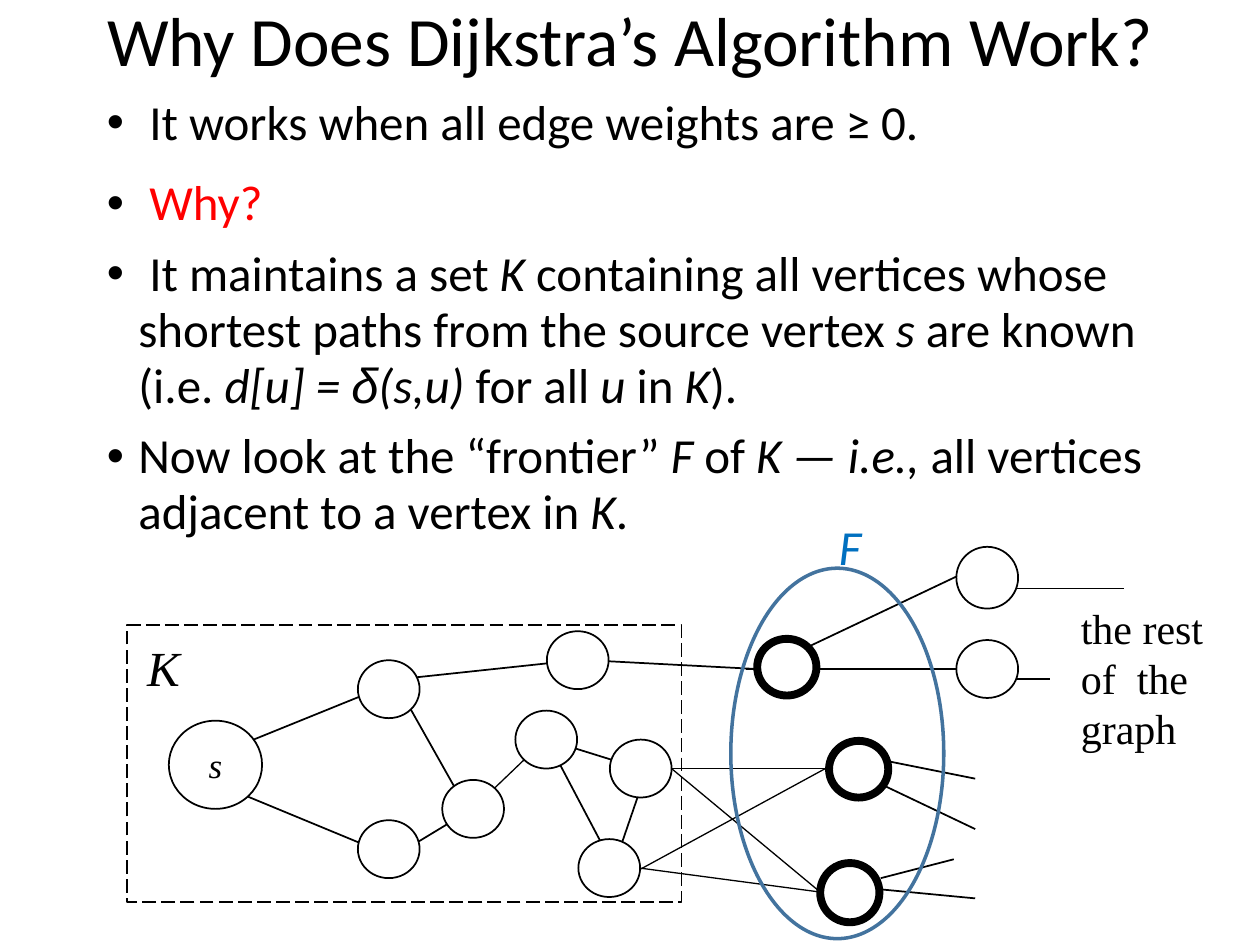
from dataclasses import dataclass
from typing import NamedTuple, Optional

from lxml import etree
from pptx import Presentation
from pptx import util as u
from pptx.dml.color import RGBColor
from pptx.enum import dml, shapes, text
from pptx.oxml import ns


@dataclass(frozen=True)
class Theme:
    black: str = "000000"
    white: str = "FFFFFF"
    red: str = "FF0000"
    label_blue: str = "0070C0"
    outline_blue: str = "43739E"
    sans: str = "Calibri"
    serif: str = "Times New Roman"
    symbol: str = "Arial"
    title: float = 39.6
    body: float = 28
    note: float = 24
    vertex: float = 20


THEME = Theme()


class Span(NamedTuple):
    text: str
    italic: bool = False
    color: str = THEME.black
    font: str = THEME.sans


class Bullet(NamedTuple):
    space_before: float
    lines: list[list[Span]]


class Box(NamedTuple):
    left: float
    top: float
    width: float
    height: float

    def lengths(self) -> list[u.Length]:
        return [u.Inches(value) for value in self]


class Edge(NamedTuple):
    x1: float
    y1: float
    x2: float
    y2: float
    weight: float = 1


class Vertex(NamedTuple):
    box: Box
    weight: float = 1
    label: str = ""


def it(words: str) -> Span:
    return Span(words, italic=True)


def add_span(para, span: Span, size: float) -> None:
    run = para.add_run()
    run.text = span.text
    run.font.size = u.Pt(size)
    run.font.name = span.font
    run.font.italic = span.italic
    run.font.color.rgb = RGBColor.from_string(span.color)


def add_outline(page, kind, box: Box, color: str, weight: float, fill: str = ""):
    shape = page.shapes.add_shape(kind, *box.lengths())
    shape.shadow.inherit = False
    if fill:
        shape.fill.solid()
        shape.fill.fore_color.rgb = RGBColor.from_string(fill)
    else:
        shape.fill.background()
    shape.line.color.rgb = RGBColor.from_string(color)
    shape.line.width = u.Pt(weight)
    return shape


def add_edge(page, edge: Edge) -> None:
    ends = [u.Inches(value) for value in edge[:4]]
    line = page.shapes.add_connector(shapes.MSO_CONNECTOR.STRAIGHT, *ends)
    line.line.color.rgb = RGBColor.from_string(THEME.black)
    line.line.width = u.Pt(edge.weight)
    properties = line._element.spPr
    etree.SubElement(properties, ns.qn("a:effectLst"))


def add_vertex(page, vertex: Vertex) -> None:
    oval = add_outline(page, shapes.MSO_SHAPE.OVAL, vertex.box, THEME.black,
                       vertex.weight, THEME.white)
    if vertex.label:
        frame = oval.text_frame
        frame.word_wrap = False
        frame.vertical_anchor = text.MSO_ANCHOR.MIDDLE
        para = frame.paragraphs[0]
        para.alignment = text.PP_ALIGN.CENTER
        add_span(para, Span(vertex.label, True, font=THEME.serif), THEME.vertex)


def add_label(page, box: Box, spans: list[Span], size: float) -> None:
    frame = page.shapes.add_textbox(*box.lengths()).text_frame
    frame.word_wrap = False
    frame.auto_size = text.MSO_AUTO_SIZE.SHAPE_TO_FIT_TEXT
    for index, span in enumerate(spans):
        para = frame.add_paragraph() if index else frame.paragraphs[0]
        add_span(para, span, size)


def add_bullets(page, box: Box, bullets: list[Bullet]) -> None:
    frame = page.shapes.add_textbox(*box.lengths()).text_frame
    frame.word_wrap = True
    for index, bullet in enumerate(bullets):
        para = frame.add_paragraph() if index else frame.paragraphs[0]
        para.line_spacing = 0.95
        para.space_before = u.Pt(THEME.body * bullet.space_before)
        properties = para._p.get_or_add_pPr()
        properties.set("marL", str(u.Inches(0.25)))
        properties.set("indent", str(u.Inches(-0.25)))
        etree.SubElement(properties, ns.qn("a:buFont"), typeface=THEME.symbol)
        etree.SubElement(properties, ns.qn("a:buChar"), char="•")
        for number, line in enumerate(bullet.lines):
            if number:
                para.add_line_break()
            for span in line:
                add_span(para, span, THEME.body)


BULLETS = [
    Bullet(0.5, [[Span(" It works when all edge weights are ≥ 0.")]]),
    Bullet(0.5, [[Span(" "), Span("Why?", color=THEME.red)]]),
    Bullet(0.3, [
        [Span(" It maintains a set "), it("K"),
         Span(" containing all vertices whose shortest paths from the source vertex "),
         it("s"), Span(" are known ")],
        [Span("(i.e. "), it("d[u] = "), Span("δ", True, font=THEME.symbol), it("(s,u)"),
         Span(" for all "), it("u"), Span(" in "), it("K"), Span(").")]]),
    Bullet(0.3, [[Span("Now look at the “frontier” "), it("F"), Span(" of "), it("K — i.e., "),
                  Span("all vertices adjacent to a vertex in "), it("K"), Span(".")]]),
]

EDGES = [
    # Inside K
    Edge(1.84, 5.94, 3, 5.47), Edge(1.84, 6.27, 3.17, 6.82), Edge(3.17, 5.39, 4.67, 5.23),
    Edge(3.17, 5.47, 3.75, 6.5), Edge(3.09, 6.82, 3.75, 6.42), Edge(4.34, 5.87, 5.08, 6.1),
    Edge(4.34, 5.87, 4.92, 6.97), Edge(5.08, 6.27, 4.84, 6.97),
    Edge(3.92, 6.26, 4.16, 6.03, 0.75),
    # From K to the frontier
    Edge(4.67, 5.24, 6.01, 5.31), Edge(5.33, 6.1, 6.55, 6.1, 0.75),
    Edge(5.33, 6.1, 6.51, 7.08, 0.75), Edge(5.08, 6.9, 6.55, 6.1, 0.75),
    Edge(5.08, 6.89, 6.51, 7.08, 0.75),
    # From the frontier to the rest
    Edge(6, 5.33, 7.75, 4.5), Edge(5.92, 5.31, 7.83, 5.31), Edge(6.99, 6.03, 7.74, 6.18),
    Edge(6.9, 6.18, 7.74, 6.58), Edge(6.99, 6.97, 7.57, 6.82), Edge(6.9, 7.05, 7.74, 7.13),
    Edge(8, 4.67, 8.92, 4.67), Edge(7.92, 5.39, 8.33, 5.39),
]

PLAIN = [(2.84, 5.24), (4.34, 5.01), (4.09, 5.64), (2.84, 6.51), (3.51, 6.19),
         (4.84, 5.87), (4.59, 6.66), (7.59, 5.08)]
FRONTIER = [(6.01, 5.07, 0.45), (6.58, 5.88, 0.45), (6.51, 6.85, 0.47)]
VERTICES = [
    Vertex(Box(1.34, 5.72, 0.74, 0.7), label="s"),
    Vertex(Box(7.59, 4.34, 0.49, 0.49)),
    *(Vertex(Box(left, top, 0.49, 0.46)) for left, top in PLAIN),
    *(Vertex(Box(left, top, 0.47, height), 4.5) for left, top, height in FRONTIER),
]

deck = Presentation()
deck.slide_width, deck.slide_height = u.Inches(10), u.Inches(7.5)
page = deck.slides.add_slide(deck.slide_layouts[5])

# Title
title = page.shapes.title
title.left, title.top, title.width, title.height = Box(0.75, 0, 9.25, 1.01).lengths()
title.text_frame.vertical_anchor = text.MSO_ANCHOR.TOP
title.text_frame.auto_size = text.MSO_AUTO_SIZE.NONE
heading = title.text_frame.paragraphs[0]
heading.alignment = text.PP_ALIGN.LEFT
heading.line_spacing = 0.9
add_span(heading, Span("Why Does Dijkstra’s Algorithm Work?"), THEME.title)

# Argument
add_bullets(page, Box(0.75, 0.71, 8.5, 4.17), BULLETS)

# Graph: known set, edges, vertices, frontier
known = add_outline(page, shapes.MSO_SHAPE.RECTANGLE, Box(1.01, 4.96, 4.4, 2.2), THEME.black, 1)
known.line.dash_style = dml.MSO_LINE.LONG_DASH
for edge in EDGES:
    add_edge(page, edge)
for vertex in VERTICES:
    add_vertex(page, vertex)
add_outline(page, shapes.MSO_SHAPE.OVAL, Box(5.8, 4.51, 1.69, 2.94), THEME.outline_blue, 2)

# Labels
add_label(page, Box(1.07, 5.01, 0.46, 0.57), [Span("K", True, font=THEME.serif)], THEME.body)
add_label(page, Box(6.56, 4.05, 0.38, 0.57), [Span("F", True, THEME.label_blue)], THEME.body)
add_label(page, Box(8.48, 4.73, 1.17, 1.3),
          [Span(line, font=THEME.serif) for line in ("the rest", "of  the ", "graph")],
          THEME.note)

deck.save("out.pptx")
